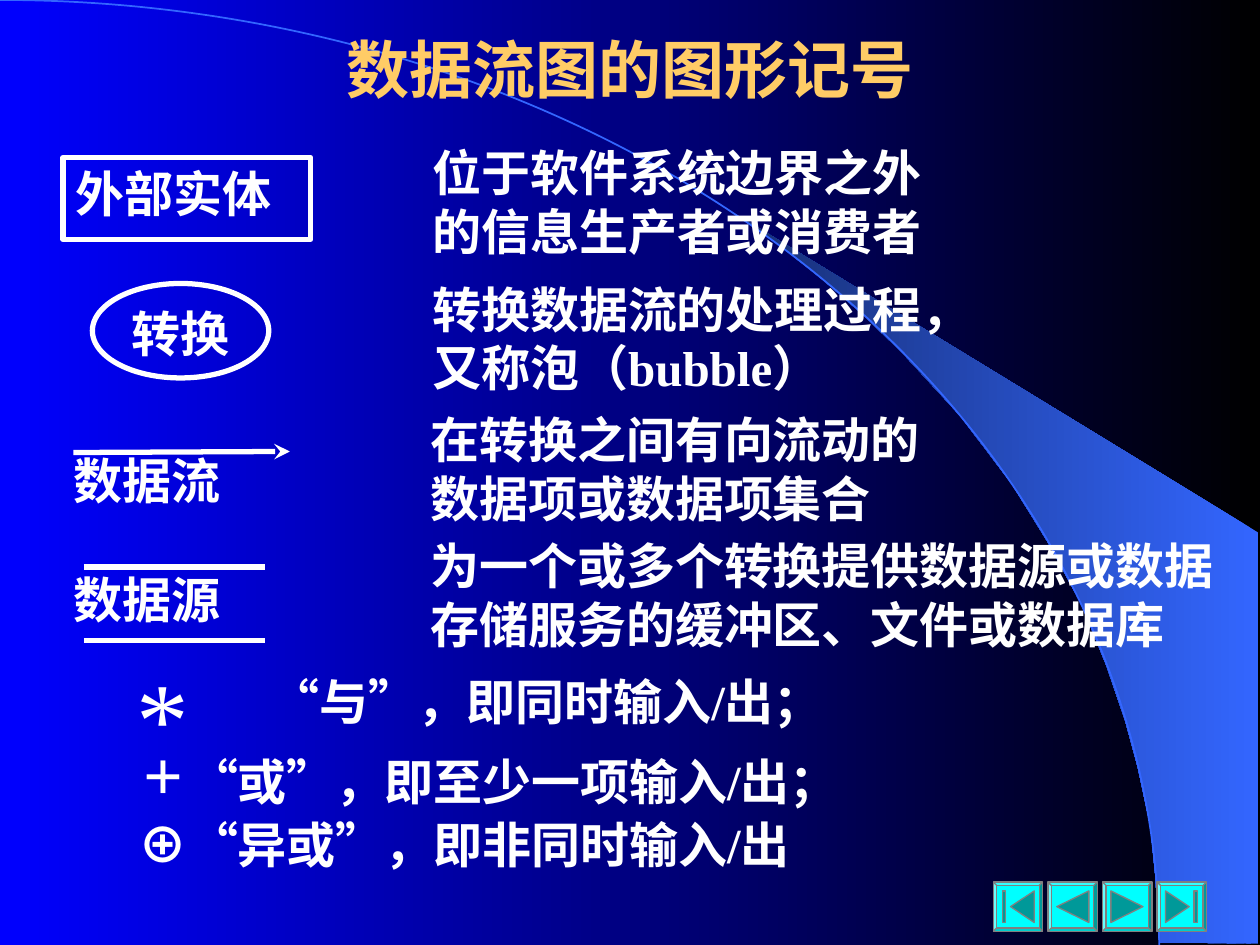
from dataclasses import dataclass

from lxml.etree import SubElement
from pptx import Presentation
from pptx.dml.color import RGBColor
from pptx.enum.shapes import MSO_CONNECTOR, MSO_SHAPE as Shape
from pptx.enum.text import MSO_ANCHOR as Anchor, PP_ALIGN as Align
from pptx.oxml.ns import qn
from pptx.util import Emu, Inches, Pt

WHITE = RGBColor(0xFF, 0xFF, 0xFF)
BLACK = RGBColor(0, 0, 0)
BLUE = RGBColor(0, 0, 0xFF)
GOLD = RGBColor(0xFF, 0xCC, 0x66)
SKY = RGBColor(0x33, 0x66, 0xFF)
DUSK = RGBColor(0x17, 0x2F, 0x75)
CYAN = RGBColor(0, 0xFF, 0xFF)
TEAL = RGBColor(0, 0x99, 0x99)
GRAY = RGBColor(0x80, 0x80, 0x80)

FONT = "Times New Roman"
COLUMNS, ROWS = 120, 90
WIDTH, HEIGHT = Inches(10), Inches(7.5)
CELL = WIDTH / COLUMNS
PADDING = (Inches(0.1), Inches(0.05))
BUTTON_COLUMN, BUTTON_ROW, BUTTON_PITCH, BUTTON_SIZE = 94.6, 84, 5.2, 4.7

# Beam outline in hundredths of an inch
BEAM = [(920, 748), (999, 749), (999, 423), (589, 173), (624, 199), (653, 222),
        (685, 250), (716, 280), (762, 330), (803, 384), (832, 431), (858, 479),
        (878, 528), (893, 572), (903, 609), (913, 656), (917, 696)]


@dataclass(frozen=True)
class Area:
    """A rectangle in grid cells."""
    column: float
    row: float
    columns: float
    rows: float

    def lengths(self) -> list[Emu]:
        return [cells(n) for n in (self.column, self.row, self.columns, self.rows)]


@dataclass(frozen=True)
class Caption:
    area: Area
    lines: tuple[str, ...]
    padded: bool = False
    anchor: Anchor = Anchor.TOP
    align: Align = Align.JUSTIFY
    size: int = 28
    color: RGBColor = WHITE
    bold: bool = True


@dataclass(frozen=True)
class Operator:
    """A symbol and its meaning; indent and stop are inches from the box edge."""
    symbol: str
    size: int
    indent: float
    stop: float
    meaning: str


CAPTIONS = (
    Caption(Area(9, 2, 102, 9), ("数据流图的图形记号",), True, Anchor.MIDDLE,
            Align.CENTER, 36, GOLD),
    Caption(Area(40, 13, 50, 13), ("位于软件系统边界之外", "的信息生产者或消费者"), True),
    Caption(Area(40, 26, 54, 13.5), ("转换数据流的处理过程，", "又称泡（bubble）"), True),
    Caption(Area(41, 39, 52, 12), ("在转换之间有向流动的", "数据项或数据项集合")),
    Caption(Area(41, 51, 77, 13), ("为一个或多个转换提供数据源或数据",
                                   "存储服务的缓冲区、文件或数据库")),
    Caption(Area(7, 43, 18, 5.5), ("数据流",), anchor=Anchor.MIDDLE),
    Caption(Area(7, 54, 17.3, 6), ("数据源",), anchor=Anchor.MIDDLE),
)
SYMBOLS = (
    (Shape.RECTANGLE, Caption(Area(6, 15, 23.6, 7.8), ("外部实体",), True)),
    (Shape.OVAL, Caption(Area(8.8, 27, 16.8, 9), ("转换",), True, align=Align.CENTER)),
)
ASTERISK = Caption(Area(13, 64.4, 10, 9.6), ("*",), align=Align.LEFT, size=60, bold=False)
OPERATOR_AREA = Area(12, 64, 82, 19)
OPERATORS = (
    Operator("", 28, 1.15, 1.15, "“与”，即同时输入/出；"),
    Operator("+", 40, 0.14, 1.34, "“或”，即至少一项输入/出；"),
    Operator("⊕", 28, 0.1, 1.17, "“异或”，即非同时输入/出"),
)

# Button glyphs as shares of the button's side
BACK = [(0.18, 0.5), (0.83, 0.18), (0.83, 0.82)]
BACK_SHORT = [(0.35, 0.5), (0.83, 0.18), (0.83, 0.82)]
BAR = [(0.18, 0.18), (0.25, 0.18), (0.25, 0.82), (0.18, 0.82)]


def mirrored(points: list) -> list:
    return [(1 - x, y) for x, y in points]


BUTTONS = ([BACK_SHORT, BAR], [BACK], [mirrored(BACK)],
           [mirrored(BACK_SHORT), mirrored(BAR)])


def cells(count: float) -> Emu:
    return Emu(round(count * CELL))


def set_gradient(fill, right: RGBColor, left: RGBColor) -> None:
    fill.gradient()
    fill.gradient_angle = 180
    for stop, position, color in zip(fill.gradient_stops, (0, 1), (right, left)):
        stop.position = position
        stop.color.rgb = color


def add_span(para, text: str, size: int, color: RGBColor = WHITE, bold: bool = True) -> None:
    span = para.add_run()
    span.text = text
    font = span.font
    font.name, font.size, font.bold = FONT, Pt(size), bold
    font.color.rgb = color


def set_frame(frame, anchor: Anchor, padded: bool) -> None:
    frame.word_wrap = True
    frame.vertical_anchor = anchor
    across, down = PADDING if padded else (0, 0)
    frame.margin_left = frame.margin_right = across
    frame.margin_top = frame.margin_bottom = down


def write_caption(frame, caption: Caption) -> None:
    set_frame(frame, caption.anchor, caption.padded)
    for index, line in enumerate(caption.lines):
        para = frame.add_paragraph() if index else frame.paragraphs[0]
        para.alignment = caption.align
        add_span(para, line, caption.size, caption.color, caption.bold)


def add_caption(slide, caption: Caption) -> object:
    box = slide.shapes.add_textbox(*caption.area.lengths())
    write_caption(box.text_frame, caption)
    return box


def add_outline(slide, kind: Shape, area: Area, color: RGBColor, width: float) -> object:
    shape = slide.shapes.add_shape(kind, *area.lengths())
    shape.shadow.inherit = False
    shape.fill.background()
    shape.line.color.rgb = color
    shape.line.width = Pt(width)
    return shape


def add_polygon(slide, points: list, scale: float, left: int = 0, top: int = 0) -> object:
    builder = slide.shapes.build_freeform(*points[0], scale=scale)
    builder.add_line_segments(points[1:], close=True)
    shape = builder.convert_to_shape(left, top)
    shape.shadow.inherit = False
    return shape


def add_line(slide, start: tuple, end: tuple, arrow: bool = False) -> None:
    line = slide.shapes.add_connector(
        MSO_CONNECTOR.STRAIGHT, *map(cells, start), *map(cells, end))
    line.line.color.rgb = WHITE
    line.line.width = Pt(3)
    if arrow:
        SubElement(line.line._get_or_add_ln(), qn("a:tailEnd"), type="stealth")
    SubElement(line._element.spPr, qn("a:effectLst"))


def add_operators(slide) -> None:
    frame = slide.shapes.add_textbox(*OPERATOR_AREA.lengths()).text_frame
    set_frame(frame, Anchor.TOP, False)
    for index, item in enumerate(OPERATORS):
        para = frame.add_paragraph() if index else frame.paragraphs[0]
        para.alignment = Align.LEFT
        props = para._p.get_or_add_pPr()
        props.set("marL", "0")
        props.set("indent", str(Inches(item.indent)))
        if item.symbol:
            tabs = SubElement(props, qn("a:tabLst"))
            SubElement(tabs, qn("a:tab"), pos=str(Inches(item.stop)), algn="l")
            add_span(para, item.symbol, item.size)
            add_span(para, "\t", 28)
        add_span(para, item.meaning, 28)


def add_button(slide, index: int, glyphs: list) -> None:
    area = Area(BUTTON_COLUMN + index * BUTTON_PITCH, BUTTON_ROW, BUTTON_SIZE, BUTTON_SIZE)
    frame = add_outline(slide, Shape.BEVEL, area, GRAY, 0.75)
    frame.adjustments[0] = 0.07
    frame.fill.solid()
    frame.fill.fore_color.rgb = CYAN
    for points in glyphs:
        glyph = add_polygon(slide, [(x * 100, y * 100) for x, y in points],
                            frame.width / 100, frame.left, frame.top)
        glyph.fill.solid()
        glyph.fill.fore_color.rgb = TEAL
        glyph.line.color.rgb = GRAY
        glyph.line.width = Pt(0.75)


def main() -> None:
    deck = Presentation()
    deck.slide_width, deck.slide_height = WIDTH, HEIGHT
    slide = deck.slides.add_slide(deck.slide_layouts[6])
    set_gradient(slide.background.fill, BLACK, BLUE)
    beam = add_polygon(slide, BEAM, Inches(0.01))
    set_gradient(beam.fill, SKY, DUSK)
    beam.line.fill.background()
    add_outline(slide, Shape.ARC, Area(-110.4, 0, 220.8, 2 * ROWS), SKY, 1)

    for caption in CAPTIONS:
        add_caption(slide, caption)
    for kind, caption in SYMBOLS:
        write_caption(add_outline(slide, kind, caption.area, WHITE, 3).text_frame, caption)
    add_line(slide, (7, 43.1), (27.6, 43), arrow=True)
    for row in (54, 61):
        add_line(slide, (8, row), (25.2, row))
    add_operators(slide)
    add_caption(slide, ASTERISK).text_frame.paragraphs[0].line_spacing = 0.8
    for index, glyphs in enumerate(BUTTONS):
        add_button(slide, index, glyphs)
    deck.save("out.pptx")


if __name__ == "__main__":
    main()
